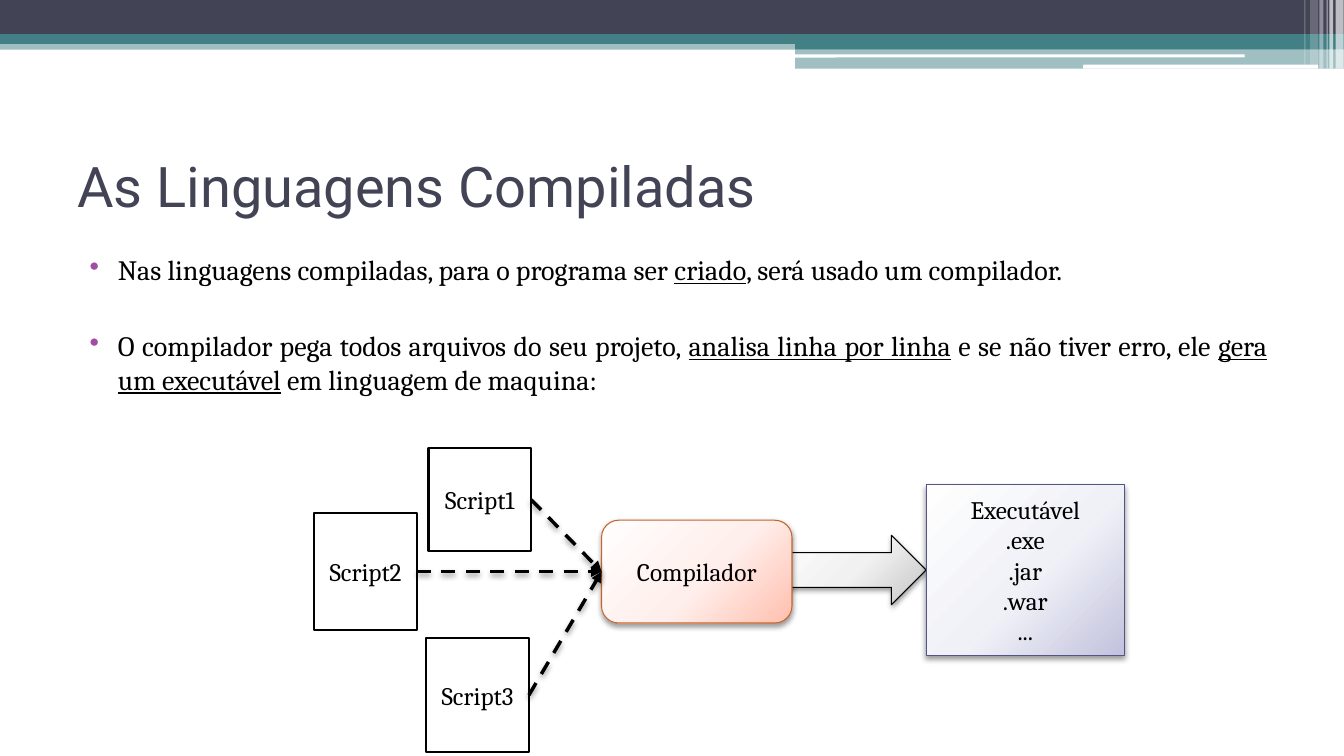
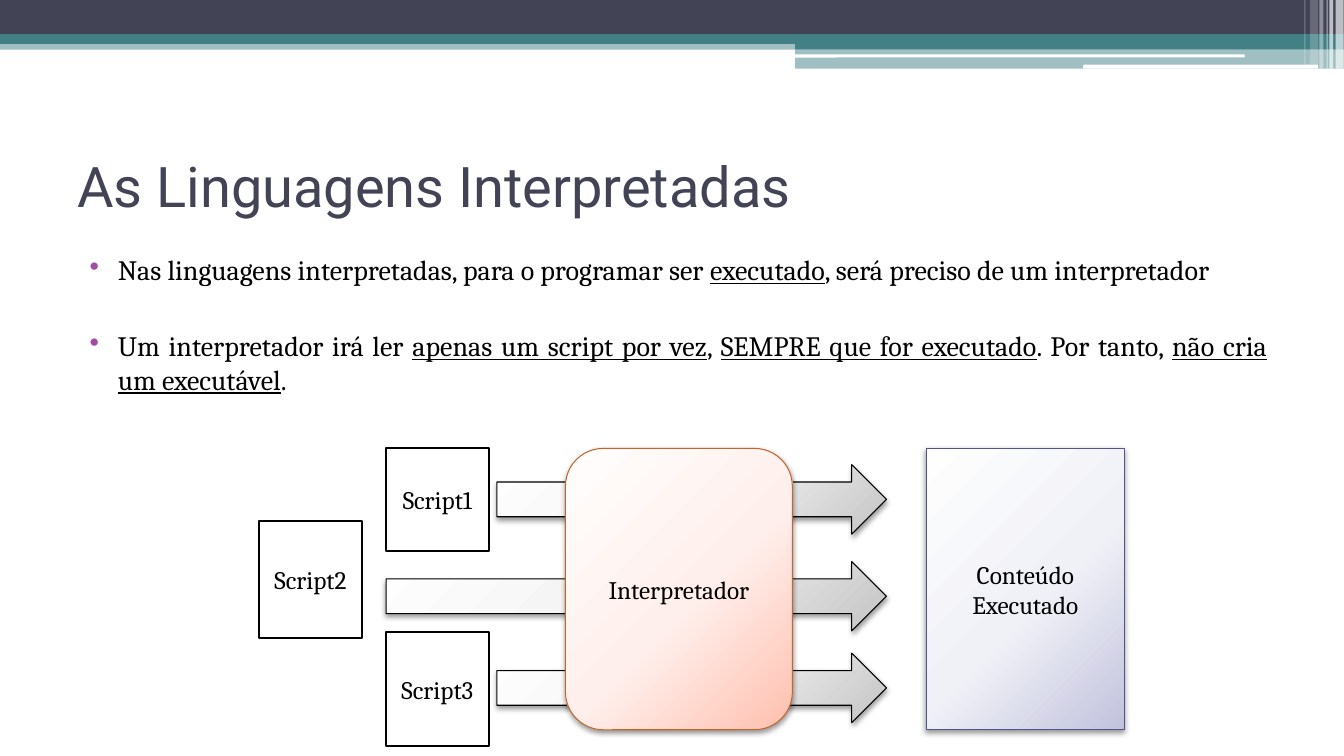
"""Builds two slides that compare compiled and interpreted languages."""
from pptx import Presentation
from pptx.dml.color import RGBColor
from pptx.enum.dml import MSO_LINE
from pptx.enum.shapes import MSO_CONNECTOR, MSO_SHAPE
from pptx.enum.text import MSO_ANCHOR, PP_ALIGN
from pptx.oxml import parse_xml
from pptx.oxml.ns import nsdecls, qn
from pptx.util import Cm, Pt

RECT, ROUND, ARROW = MSO_SHAPE.RECTANGLE, MSO_SHAPE.ROUNDED_RECTANGLE, MSO_SHAPE.RIGHT_ARROW
DARK, TEAL, WHITE, BLACK = "424456", "438086", "FFFFFF", "000000"
PURPLE, ORANGE, INDIGO = "A04DA3", "C4652D", "53548A"
GRAY_FADE = ("FEFEFE", "F1F1F1", "C5C5C5")
ORANGE_FADE = ("FFFEFD", "FFEFEC", "FFBFAE")
INDIGO_FADE = ("FEFEFE", "F0F1F7", "C2C2DD")
WIDTH = 33.87
SCRIPT_WIDTH = 2.59
SCRIPT_HEIGHTS = (2.59, 2.95, 2.87)
RESULT_LEFT, RESULT_WIDTH = 23.34, 5
ARROW_HEIGHT = 1.75
SHADOW = (
    f'<a:outerShdw {nsdecls("a")} blurRad="52000" dist="25400" dir="5400000" rotWithShape="0">'
    '<a:srgbClr val="000000"><a:alpha val="40000"/></a:srgbClr></a:outerShdw>'
)

BANDS = [
    (RECT, 0, 1.02, WIDTH, 0.23, TEAL, 50),
    (RECT, 0, 0, WIDTH, 0.86, DARK, 100),
    (RECT, 0, 0.86, WIDTH, 0.25, TEAL, 100),
    (RECT, 20.04, 0.99, 13.83, 0.25, TEAL, 100),
    (RECT, 20.04, 1.22, 13.83, 0.51, TEAL, 50),
    (ROUND, 20.02, 1.37, 11.35, 0.08, WHITE, 100),
    (ROUND, 27.3, 1.63, 5.92, 0.1, WHITE, 100),
    (RECT, 33.66, 0, 0.2, 1.73, WHITE, 65),
    (RECT, 33.5, 0, 0.1, 1.73, WHITE, 65),
    (RECT, 33.43, 0, 0.03, 1.73, WHITE, 60),
    (RECT, 33.25, 0, 0.1, 1.73, WHITE, 40),
    (RECT, 33.02, 0, 0.2, 1.63, WHITE, 20),
    (RECT, 32.87, 0, 0.03, 1.63, WHITE, 30),
]

SLIDES = [
    {
        "title": "As Linguagens Compiladas",
        "bullets": [
            "Nas linguagens compiladas, para o programa ser _criado_, será usado um compilador.",
            "O compilador pega todos arquivos do seu projeto, _analisa linha por linha_"
            " e se não tiver erro, ele _gera um executável_ em linguagem de maquina:",
        ],
        "arrows": [(19.25, 13.49, RESULT_LEFT)],
        "scripts": [(10.8, 11.3), (7.92, 12.93), (10.74, 16.08)],
        "tool": ("Compilador", 15.16, 13.11, 4.8, 2.59),
        "result": (["Executável", ".exe", ".jar", ".war", "..."], 12.22, 4.29),
        "dashed": True,
    },
    {
        "title": "As Linguagens Interpretadas",
        "bullets": [
            "Nas linguagens interpretadas, para o programar ser _executado_,"
            " será preciso de um interpretador",
            "Um interpretador irá ler _apenas um script por vez_, _SEMPRE que for executado_."
            " Por tanto, _não cria um executável_.",
        ],
        "arrows": [(12.52, 16.46, 22.34), (9.73, 14.15, 22.34), (12.52, 11.71, 22.34)],
        "scripts": [(9.73, 11.3), (6.53, 13.13), (9.73, 15.93)],
        "tool": ("Interpretador", 14.25, 11.3, 5.72, 7.09),
        "result": (["Conteúdo Executado"], 11.3, 7.09),
        "dashed": False,
    },
]


def add_box(slide, kind, left, top, width, height, fill, line=None, weight=0.75, alpha=100):
    """Add a shape; a tuple of three colours gives a shaded fill with a shadow."""
    shape = slide.shapes.add_shape(kind, Cm(left), Cm(top), Cm(width), Cm(height))
    shape.shadow.inherit = False
    properties = shape._element.spPr
    if isinstance(fill, tuple):
        stops = "".join(
            f'<a:gs pos="{position}000"><a:srgbClr val="{color}"/></a:gs>'
            for position, color in zip((0, 55, 100), fill)
        )
        shape.fill.background()
        properties.replace(properties.find(qn("a:noFill")), parse_xml(
            f'<a:gradFill {nsdecls("a")} rotWithShape="1"><a:gsLst>{stops}</a:gsLst>'
            '<a:path path="circle"><a:fillToRect l="-40000" t="-90000" r="140000" b="190000"/>'
            '</a:path></a:gradFill>'))
        properties.find(qn("a:effectLst")).append(parse_xml(SHADOW))
    else:
        shape.fill.solid()
        shape.fill.fore_color.rgb = RGBColor.from_string(fill)
        if alpha < 100:
            properties.find(qn("a:solidFill"))[0].append(
                parse_xml(f'<a:alpha {nsdecls("a")} val="{alpha}000"/>'))
    if line:
        shape.line.color.rgb = RGBColor.from_string(line)
        shape.line.width = Pt(weight)
    else:
        shape.line.fill.background()
    return shape


def add_text(shape, texts, size, align, font="Cambria", color=BLACK, bullet=None,
             anchor=MSO_ANCHOR.MIDDLE):
    """Write one paragraph per text; parts between underscores are underlined."""
    frame = shape.text_frame
    frame.word_wrap = True
    frame.vertical_anchor = anchor
    for index, text in enumerate(texts):
        paragraph = frame.add_paragraph() if index else frame.paragraphs[0]
        paragraph.alignment = align
        if bullet:
            properties = paragraph._p.get_or_add_pPr()
            properties.set("marL", str(Cm(1.02)))
            properties.set("indent", str(Cm(-0.71)))
            properties.append(parse_xml(
                f'<a:buClr {nsdecls("a")}><a:srgbClr val="{bullet}"/></a:buClr>'))
            properties.append(parse_xml(f'<a:buChar {nsdecls("a")} char="•"/>'))
            if index:
                paragraph.space_before = Pt(30)
        for part, piece in enumerate(text.split("_")):
            if piece:
                run = paragraph.add_run()
                run.text = piece
                run.font.name = font
                run.font.size = Pt(size)
                run.font.color.rgb = RGBColor.from_string(color)
                if part % 2:
                    run.font.underline = True


presentation = Presentation()
presentation.slide_width, presentation.slide_height = Cm(WIDTH), Cm(19.05)

for content in SLIDES:
    slide = presentation.slides.add_slide(presentation.slide_layouts[6])
    for *place, color, alpha in BANDS:
        add_box(slide, *place, color, alpha=alpha)

    for left, top, right in content["arrows"]:
        add_box(slide, ARROW, left, top, right - left, ARROW_HEIGHT, GRAY_FADE, BLACK)

    title = slide.shapes.add_textbox(Cm(1.7), Cm(3.18), Cm(30.48), Cm(2.97))
    add_text(title, [content["title"]], 40, PP_ALIGN.LEFT, "Roboto", DARK)
    body = slide.shapes.add_textbox(Cm(1.7), Cm(6.25), Cm(30.48), Cm(12.01))
    add_text(body, content["bullets"], 20, PP_ALIGN.JUSTIFY, bullet=PURPLE,
             anchor=MSO_ANCHOR.TOP)

    scripts = []
    for number, ((left, top), height) in enumerate(zip(content["scripts"], SCRIPT_HEIGHTS), 1):
        script = add_box(slide, RECT, left, top, SCRIPT_WIDTH, height, WHITE, BLACK, 1.5)
        add_text(script, [f"Script{number}"], 18, PP_ALIGN.CENTER)
        scripts.append(script)

    name, *place = content["tool"]
    tool = add_box(slide, ROUND, *place, ORANGE_FADE, ORANGE)
    add_text(tool, [name], 18, PP_ALIGN.CENTER)

    lines, top, height = content["result"]
    result = add_box(slide, RECT, RESULT_LEFT, top, RESULT_WIDTH, height, INDIGO_FADE, INDIGO)
    add_text(result, lines, 18, PP_ALIGN.CENTER)

    for script in scripts if content["dashed"] else []:
        connector = slide.shapes.add_connector(MSO_CONNECTOR.STRAIGHT, 0, 0, 0, 0)
        connector.begin_connect(script, 3)
        connector.end_connect(tool, 1)
        connector.line.color.rgb = RGBColor.from_string(BLACK)
        connector.line.width = Pt(2.5)
        connector.line.dash_style = MSO_LINE.DASH
        properties = connector._element.spPr
        properties.find(qn("a:ln")).append(
            parse_xml(f'<a:tailEnd {nsdecls("a")} type="triangle"/>'))
        effects = parse_xml(f'<a:effectLst {nsdecls("a")}/>')
        effects.append(parse_xml(SHADOW))
        properties.append(effects)

presentation.save("out.pptx")
